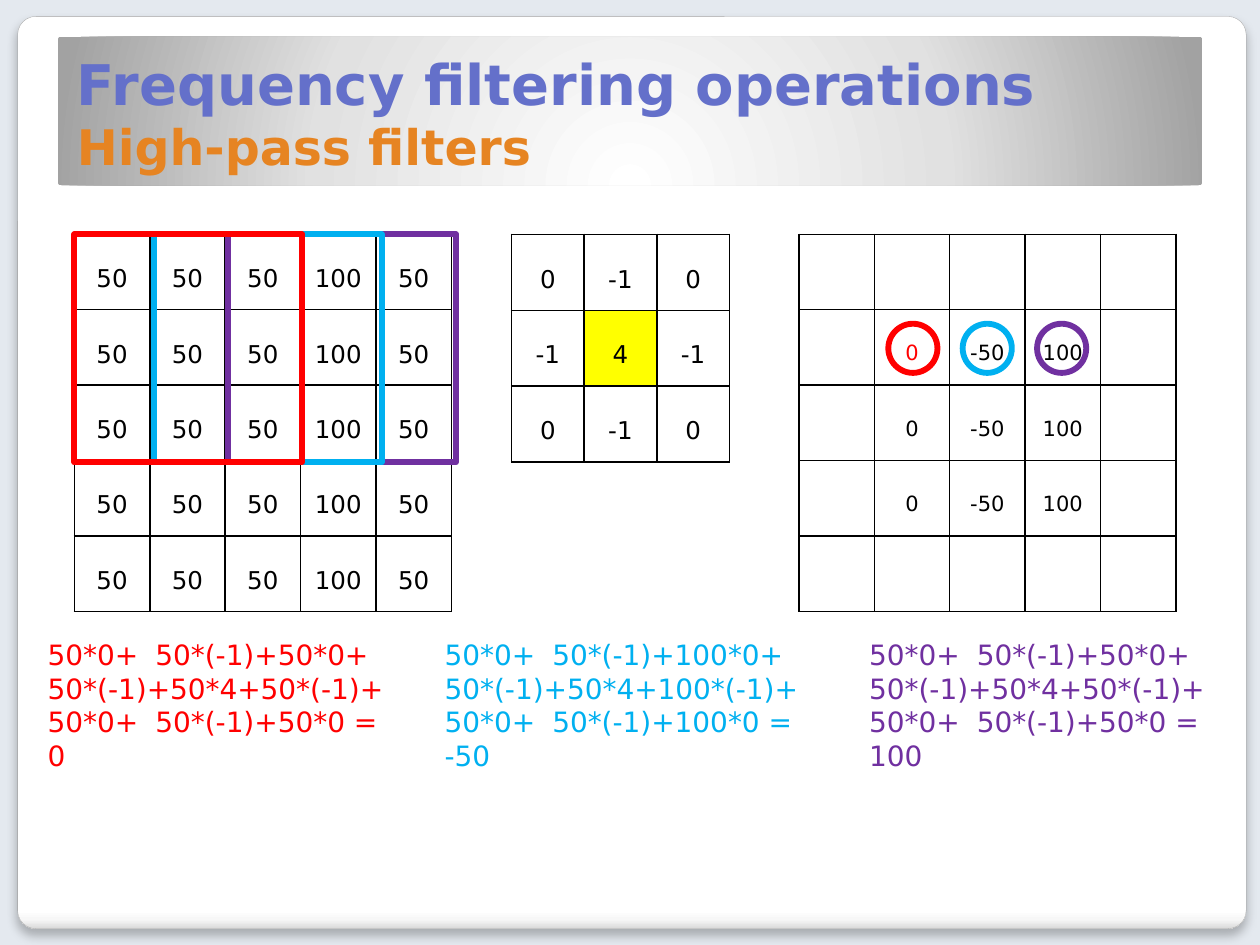
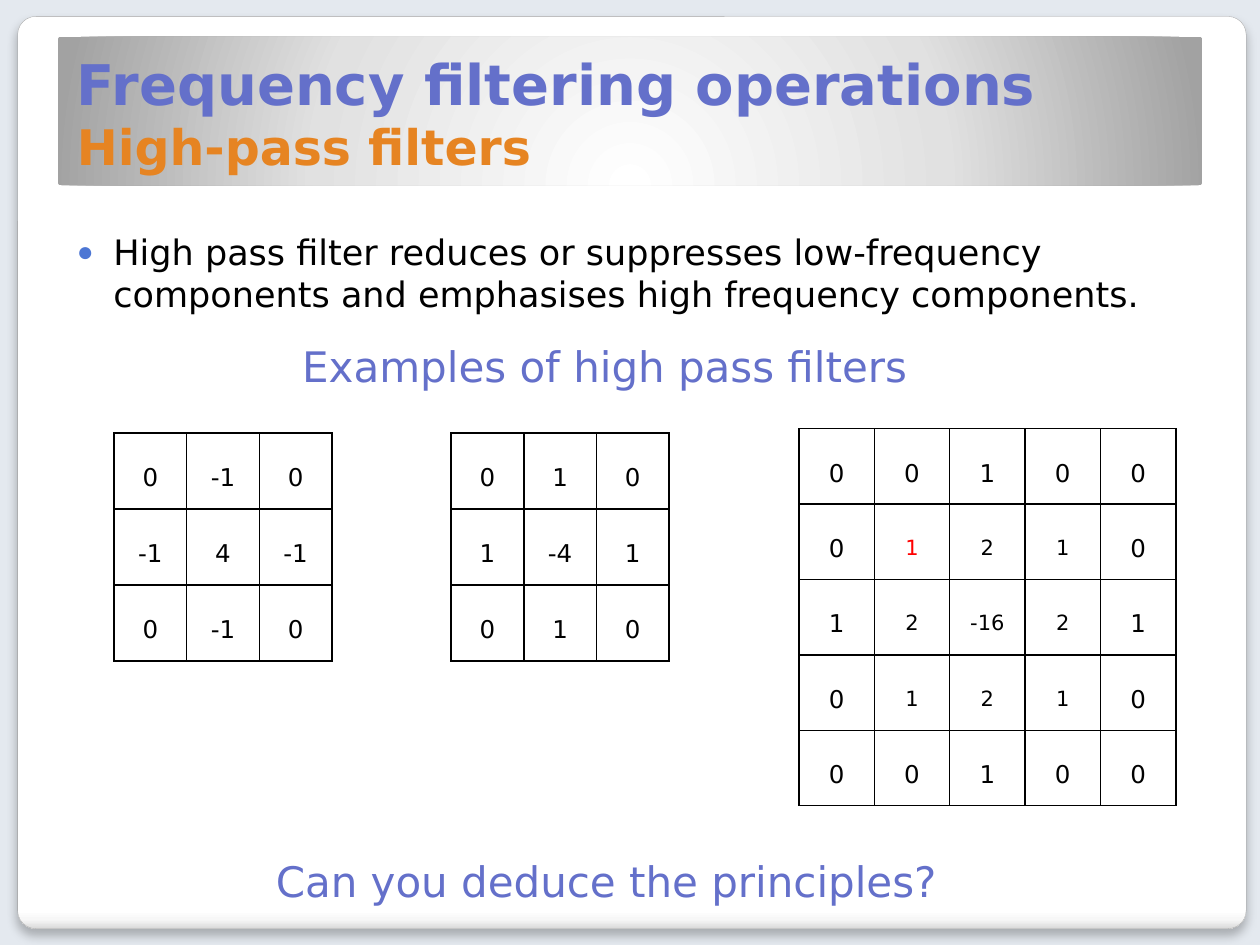
from lxml.etree import SubElement
from pptx import Presentation
from pptx.dml.color import RGBColor
from pptx.enum.shapes import MSO_SHAPE as Preset
from pptx.enum.text import MSO_ANCHOR as Anchor, MSO_AUTO_SIZE as AutoSize, PP_ALIGN as Align
from pptx.oxml.ns import qn
from pptx.util import Pt

# Style
FONT = "DejaVu Sans"
BLACK = RGBColor(0x00, 0x00, 0x00)
WHITE = RGBColor(0xFF, 0xFF, 0xFF)
RED = RGBColor(0xFF, 0x00, 0x00)
BLUE = RGBColor(0x00, 0xB0, 0xF0)
PURPLE = RGBColor(0x70, 0x30, 0xA0)
YELLOW = RGBColor(0xFF, 0xFF, 0x00)
INDIGO = RGBColor(0x64, 0x70, 0xCA)
ORANGE = RGBColor(0xE6, 0x84, 0x22)
BULLET = RGBColor(0x4C, 0x76, 0xD4)
BACKDROP = RGBColor(0xE4, 0xE9, 0xEF)
PANEL_LINE = RGBColor(0xA4, 0xA4, 0xA4)
PANEL_STOPS = [(0, WHITE), (98, WHITE), (99, RGBColor(0xF7, 0xF7, 0xF7)),
               (100, RGBColor(0xDA, 0xDA, 0xDA))]
BAND_STOPS = [(0, WHITE), (55, RGBColor(0xE1, 0xE1, 0xE1)),
              (100, RGBColor(0xA2, 0xA2, 0xA2))]
CELL_SIZES = {3: (41.5, 43.4), 5: (43.1, 43.1)}  # column width, row height


def add_node(parent, tag, **attributes):
    return SubElement(parent, qn(tag), {key: str(value) for key, value in attributes.items()})


class Deck:
    def __init__(self):
        self.presentation = Presentation()
        self.presentation.slide_width, self.presentation.slide_height = Pt(720), Pt(540)
        self.slide = None

    def start_slide(self, layout_name):
        layout = self.presentation.slide_layouts.get_by_name(layout_name)
        self.slide = self.presentation.slides.add_slide(layout)

    def run(self, paragraph, text, size, color, bold=False):
        run = paragraph.add_run()
        run.text = text
        font = run.font
        font.name, font.size, font.bold = FONT, Pt(size), bold
        font.color.rgb = color

    def place(self, shape, left, top, width, height):
        shape.left, shape.top = Pt(left), Pt(top)
        shape.width, shape.height = Pt(width), Pt(height)

    def shape(self, preset, box, line=None, line_width=1, shapes=None):
        shapes = shapes or self.slide.shapes
        shape = shapes.add_shape(preset, *map(Pt, box))
        shape.shadow.inherit = False
        shape.fill.background()
        if line is None:
            shape.line.fill.background()
        else:
            shape.line.color.rgb = line
            shape.line.width = Pt(line_width)
        return shape

    def gradient(self, shape, stops, radial=False):
        properties = shape.element.spPr
        fill = add_node(properties, "a:gradFill", rotWithShape=1)
        stop_list = add_node(fill, "a:gsLst")
        for position, color in stops:
            stop = add_node(stop_list, "a:gs", pos=position * 1000)
            add_node(stop, "a:srgbClr", val=color)
        if radial:
            circle = add_node(fill, "a:path", path="circle")
            add_node(circle, "a:fillToRect", l=50000, t=175000, r=50000, b=-75000)
        else:
            add_node(fill, "a:lin", ang=5400000, scaled=0)
        properties.replace(properties.find(qn("a:noFill")), fill)

    def master_frame(self):
        """Draw the page panel and title band, then move them to the master."""
        master = self.presentation.slide_master
        master.background.fill.solid()
        master.background.fill.fore_color.rgb = BACKDROP
        panel = self.shape(Preset.ROUNDED_RECTANGLE, (10.1, 9.4, 702, 521.3), PANEL_LINE, 0.16)
        self.gradient(panel, PANEL_STOPS)
        effects = panel.element.spPr.find(qn("a:effectLst"))
        shadow = add_node(effects, "a:outerShdw", blurRad=Pt(6), dist=Pt(4),
                          dir=5400000, algn="t", rotWithShape=0)
        add_node(add_node(shadow, "a:srgbClr", val=BLACK), "a:alpha", val=25000)
        band = self.shape(Preset.ROUNDED_RECTANGLE, (33.1, 20.9, 653.8, 85))
        self.gradient(band, BAND_STOPS, radial=True)
        for index, shape in enumerate((panel, band)):
            shape.adjustments[0] = 0.02
            shape.element.nvSpPr.cNvPr.set("id", str(100 + index))
            master.shapes.element.insert(2 + index, shape.element)

    def title(self, heading, subheading):
        title = self.slide.shapes.title
        self.place(title, 36.7, 20.9, 644.4, 82.8)
        frame = title.text_frame
        frame.auto_size, frame.vertical_anchor = AutoSize.NONE, Anchor.BOTTOM
        paragraph = frame.paragraphs[0]
        paragraph.alignment = Align.LEFT
        self.run(paragraph, heading, 32, INDIGO, bold=True)
        paragraph.add_line_break()
        self.run(paragraph, subheading, 28, ORANGE, bold=True)

    def bullet(self, text):
        body = self.slide.placeholders[1]
        self.place(body, 36.7, 128.2, 644.4, 73.4)
        body.text_frame.auto_size = AutoSize.NONE
        paragraph = body.text_frame.paragraphs[0]
        paragraph.space_before = Pt(0)
        properties = paragraph._p.get_or_add_pPr()
        properties.set("marL", str(Pt(20.9)))
        properties.set("indent", str(Pt(-20.9)))
        add_node(add_node(properties, "a:buClr"), "a:srgbClr", val=BULLET)
        add_node(properties, "a:buSzPct", val=80000)
        add_node(properties, "a:buChar", char="●")
        self.run(paragraph, text, 20, BLACK)

    def text(self, box, lines, size, color, shapes=None, tab=None):
        shapes = shapes or self.slide.shapes
        frame = shapes.add_textbox(*map(Pt, box)).text_frame
        frame.word_wrap = True
        for index, line in enumerate(lines):
            paragraph = frame.add_paragraph() if index else frame.paragraphs[0]
            if tab:
                tabs = add_node(paragraph._p.get_or_add_pPr(), "a:tabLst")
                add_node(tabs, "a:tab", pos=Pt(tab), algn="l")
            self.run(paragraph, line, size, color)

    def cell(self, cell, value, size, color, fill):
        cell.margin_left = cell.margin_right = Pt(6.5)
        cell.margin_top = cell.margin_bottom = Pt(3.2)
        cell.vertical_anchor = Anchor.MIDDLE
        if fill is None:
            cell.fill.background()
        else:
            cell.fill.solid()
            cell.fill.fore_color.rgb = fill
        properties = cell._tc.get_or_add_tcPr()
        for index, side in enumerate("LRTB"):
            border = add_node(properties, f"a:ln{side}", w=Pt(1))
            add_node(add_node(border, "a:solidFill"), "a:srgbClr", val=BLACK)
            properties.insert(index, border)
        if value is not None:
            paragraph = cell.text_frame.paragraphs[0]
            paragraph.alignment = Align.CENTER
            paragraph.line_spacing = 1.5
            self.run(paragraph, str(value), size, color)

    def matrix(self, left, top, values, inner_size=14, red_at=None, yellow_at=None):
        count = len(values)
        width, height = CELL_SIZES[count]
        table = self.slide.shapes.add_table(
            count, count, Pt(left), Pt(top), Pt(width * count), Pt(height * count)).table
        table.first_row = table.horz_banding = False
        for column in table.columns:
            column.width = Pt(width)
        inner = range(1, count - 1)
        for row, row_values in enumerate(values):
            table.rows[row].height = Pt(height)
            for column, value in enumerate(row_values):
                place = (row, column)
                self.cell(table.cell(row, column), value,
                          inner_size if row in inner and column in inner else 14,
                          RED if place == red_at else BLACK,
                          YELLOW if place == yellow_at else None)

    def filter_step(self, color, window_left, circle_left, text_left, text_width, edge, result):
        """One filter position: its window, its result circle and its sum."""
        shapes = self.slide.shapes.add_group_shape().shapes
        lines = [f"50*0+\t50*(-1)+{edge}*0+", f"50*(-1)+50*4+{edge}*(-1)+",
                 f"50*0+\t50*(-1)+{edge}*0 =", result]
        self.text((text_left, 360.7, text_width, 87), lines, 16, color, shapes, tab=61.5)
        self.shape(Preset.RECTANGLE, (window_left, 133.9, 130.3, 130.3), color, 3.35, shapes)
        self.shape(Preset.OVAL, (circle_left, 185, 28.1, 28.1), color, 3.35, shapes)


LAPLACIAN = [[0, -1, 0], [-1, 4, -1], [0, -1, 0]]
TITLE = ("Frequency filtering operations", "High-pass filters")


def main():
    deck = Deck()

    # Slide 1: applying the filter
    deck.start_slide("Title Only")
    deck.master_frame()
    deck.title(*TITLE)
    deck.matrix(292.3, 133.9, LAPLACIAN, yellow_at=(1, 1))
    deck.matrix(42.5, 133.9, [[50, 50, 50, 100, 50]] * 5)
    blank = [None] * 5
    deck.matrix(456.5, 133.9, [blank, *[[None, 0, -50, 100, None]] * 3, blank],
                inner_size=12, red_at=(1, 1))
    deck.filter_step(PURPLE, 130.3, 592.6, 489.6, 222, 50, "100")
    deck.filter_step(BLUE, 87.8, 550.1, 247, 231, 100, "-50")
    deck.filter_step(RED, 42.5, 507.6, 20.2, 222, 50, "0")

    # Slide 2: examples of filters
    deck.start_slide("Title and Content")
    deck.title(*TITLE)
    deck.text((165.6, 190.8, 373.7, 36), ["Examples of high pass filters"], 24, INDIGO)
    deck.text((150.5, 485.3, 403.9, 36), ["Can you deduce the principles?"], 24, INDIGO)
    deck.matrix(65.2, 247.5, LAPLACIAN)
    deck.matrix(456.5, 245, [[0, 0, 1, 0, 0], [0, 1, 2, 1, 0], [1, 2, -16, 2, 1],
                             [0, 1, 2, 1, 0], [0, 0, 1, 0, 0]],
                inner_size=12, red_at=(1, 1))
    deck.matrix(257.8, 247.5, [[-value for value in row] for row in LAPLACIAN])
    deck.bullet("High pass filter reduces or suppresses low-frequency components "
                "and emphasises high frequency components.")

    deck.presentation.save("out.pptx")


if __name__ == "__main__":
    main()
